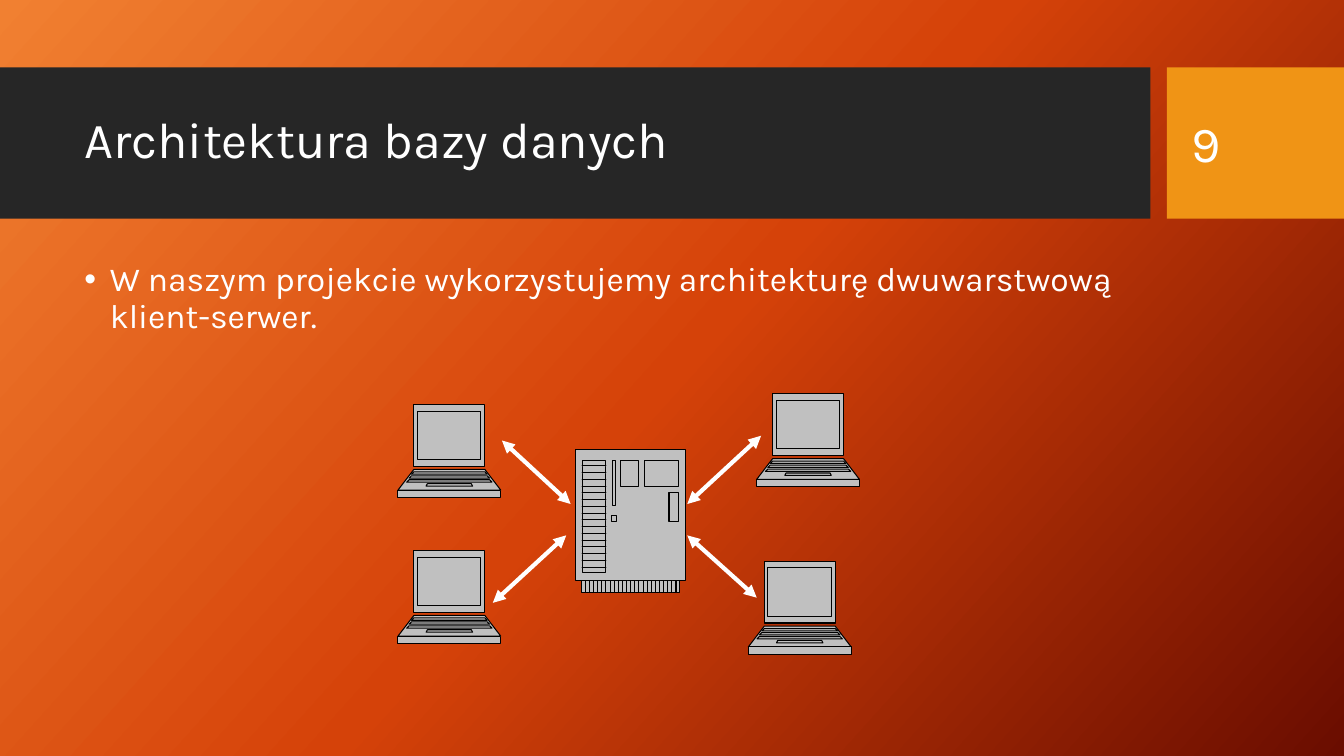
from copy import deepcopy

from lxml.etree import SubElement
from pptx import Presentation
from pptx.dml.color import RGBColor
from pptx.enum.shapes import MSO_CONNECTOR, MSO_SHAPE
from pptx.enum.text import MSO_ANCHOR
from pptx.oxml.ns import qn
from pptx.util import Cm, Pt

FONT = "Karla"
WHITE = "FFFFFF"
GRADIENT = [(0, "F18031"), (50, "D54209"), (100, "6A0D00")]

LAPTOPS = [(10.03, 10.19), (10.03, 13.87), (19.07, 9.92), (18.86, 14.14)]
SERVER = (14.5, 11.33)
ARROWS = [
    (12.65, 11.1, 14.38, 12.7),
    (12.42, 15.19, 14.27, 13.49),
    (17.32, 13.49, 19.07, 15.06),
    (17.32, 12.7, 19.18, 10.98),
]


def color(hex_value):
    return RGBColor.from_string(hex_value)


def set_format(target, values):
    for name, value in values.items():
        setattr(target, name, value)


def set_background(slide):
    fill = slide.background.fill
    fill.gradient()
    fill.gradient_angle = 360 - 42
    stops = slide.element.find(".//" + qn("a:gsLst"))
    stops.clear()
    for percent, hex_value in GRADIENT:
        stop = SubElement(stops, qn("a:gs"), pos=str(percent * 1000))
        SubElement(stop, qn("a:srgbClr"), val=hex_value)


def add_band(slide, left, width, fill):
    shape = slide.shapes.add_shape(
        MSO_SHAPE.RECTANGLE, Cm(left), Cm(1.7), Cm(width), Cm(3.81))
    shape.shadow.inherit = False
    shape.fill.solid()
    shape.fill.fore_color.rgb = color(fill)
    shape.line.fill.background()


def add_text(slide, text, box, size, frame_format, paragraph_format):
    frame = slide.shapes.add_textbox(*map(Cm, box)).text_frame
    set_format(frame, {"word_wrap": True, **frame_format})
    paragraph = frame.paragraphs[0]
    set_format(paragraph, paragraph_format)
    run = paragraph.add_run()
    run.text = text
    set_format(run.font, {"name": FONT, "size": Pt(size)})
    run.font.color.rgb = color(WHITE)
    return paragraph


def add_bullet(paragraph):
    properties = paragraph._p.get_or_add_pPr()
    properties.set("marL", str(Cm(0.64)))
    properties.set("indent", str(-Cm(0.64)))
    SubElement(properties, qn("a:buFont"), typeface="Arial")
    SubElement(properties, qn("a:buChar"), char="•")


def panel(left, top, right, bottom, flare=0):
    """Corners of a rectangle whose lower edge is wider by flare on each side."""
    return [(left, top), (right, top),
            (right + flare, bottom), (left - flare, bottom)]


def laptop_panels():
    screen = panel(0.4, 0, 2.19, 1.56)
    keyboard = panel(0.4, 1.64, 2.19, 2.16, 0.4)
    front = panel(0, 2.16, 2.59, 2.35)
    display = panel(0.49, 0.17, 2.09, 1.39)
    touchpad = panel(0.74, 2, 1.85, 2.06, 0.03)
    key_rows = [
        panel(0.4 - 0.06 * row, 1.7 + 0.1 * row,
              2.19 + 0.06 * row, 1.76 + 0.1 * row, 0.06)
        for row in range(3)
    ]
    return [screen, keyboard, front, display, touchpad, *key_rows]


def server_panels():
    case = [(0, 0), (2.77, 0), (2.77, 3.3), (2.62, 3.3),
            (2.62, 3.6), (0.16, 3.6), (0.16, 3.3), (0, 3.3)]
    base_line = panel(0.16, 3.3, 2.62, 3.3)
    bay = panel(0.17, 0.28, 0.77, 3.1)
    bay_lines = [panel(0.17, 0.41 + 0.17 * row, 0.77, 0.41 + 0.17 * row)
                 for row in range(16)]
    fins = [panel(0.25 + 0.104 * column, 3.3, 0.25 + 0.104 * column, 3.6)
            for column in range(23)]
    slot = panel(0.94, 0.28, 1.02, 1.4)
    button = panel(0.91, 1.65, 1.04, 1.8)
    small_drive = panel(1.14, 0.28, 1.59, 0.92)
    large_drive = panel(1.74, 0.28, 2.59, 0.92)
    port = panel(2.36, 1.08, 2.59, 1.82)
    return [case, base_line, bay, *bay_lines, *fins,
            slot, button, small_drive, large_drive, port]


def split_paths(shape):
    """Give each contour its own path, so that overlaps stay filled."""
    path_list = shape.element.find(".//" + qn("a:pathLst"))
    source = path_list[0]
    template = deepcopy(source)
    for child in list(template):
        template.remove(child)
    for command in list(source):
        if command.tag == qn("a:moveTo"):
            target = deepcopy(template)
            path_list.append(target)
        target.append(command)
    path_list.remove(source)


def add_device(shapes, position, panels):
    contours = [[(Cm(x), Cm(y)) for x, y in points] for points in panels]
    builder = shapes.build_freeform(*contours[0][0])
    for index, (start, *others) in enumerate(contours):
        if index:
            builder.move_to(*start)
        builder.add_line_segments(others, close=True)
    shape = builder.convert_to_shape(*map(Cm, position))
    split_paths(shape)
    shape.shadow.inherit = False
    shape.fill.solid()
    shape.fill.fore_color.rgb = color("C0C0C0")
    shape.line.color.rgb = color("000000")
    shape.line.width = Pt(0.75)


def add_double_arrow(shapes, ends):
    connector = shapes.add_connector(MSO_CONNECTOR.STRAIGHT, *map(Cm, ends))
    connector.line.color.rgb = color(WHITE)
    connector.line.width = Pt(3)
    properties = connector.element.spPr
    line = properties.find(qn("a:ln"))
    for end in ("a:headEnd", "a:tailEnd"):
        SubElement(line, qn(end), type="triangle")
    SubElement(properties, qn("a:effectLst"))


def add_network(slide):
    shapes = slide.shapes.add_group_shape().shapes
    for position in LAPTOPS:
        add_device(shapes, position, laptop_panels())
    for ends in ARROWS:
        add_double_arrow(shapes, ends)
    add_device(shapes, SERVER, server_panels())


def main():
    presentation = Presentation()
    set_format(presentation,
               {"slide_width": Cm(33.87), "slide_height": Cm(19.05)})
    slide = presentation.slides.add_slide(presentation.slide_layouts[6])
    set_background(slide)
    add_band(slide, 0, 28.99, "262626")
    add_band(slide, 29.41, 4.46, "F09415")

    middle = {"vertical_anchor": MSO_ANCHOR.MIDDLE}
    add_text(slide, "Architektura bazy danych", (1.88, 2.08, 26.7, 3), 36,
             middle, {"line_spacing": 0.9})
    body = add_text(
        slide,
        "W naszym projekcie wykorzystujemy architekturę dwuwarstwową "
        "klient-serwer.",
        (1.88, 6.5, 26.7, 10), 24, {},
        {"line_spacing": 0.9, "space_before": Pt(10)})
    add_bullet(body)
    add_network(slide)
    add_text(slide, "9", (29.79, 2.08, 3.2, 3.02), 36, middle, {})
    presentation.save("out.pptx")


if __name__ == "__main__":
    main()
